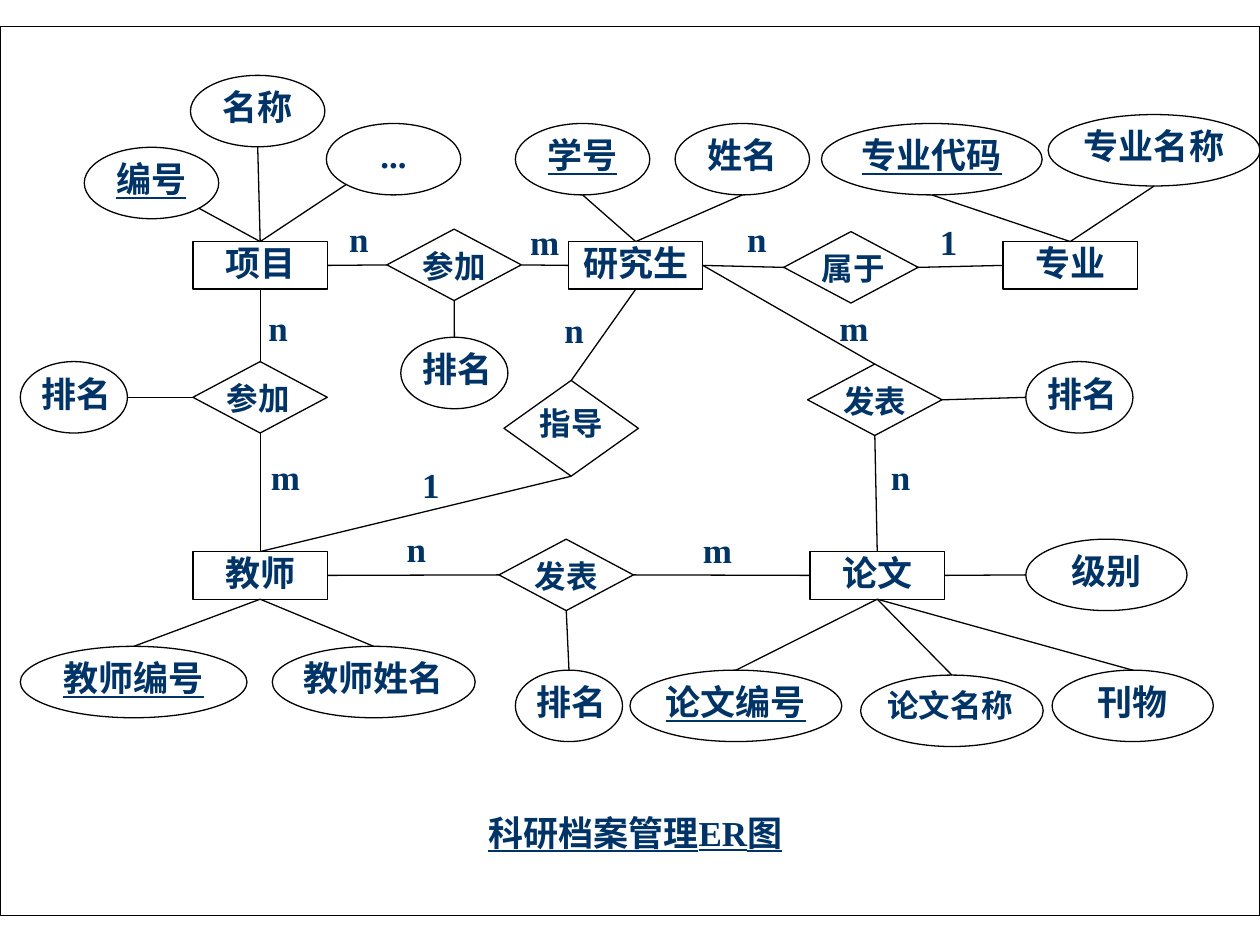
from lxml.etree import SubElement
from pptx import Presentation
from pptx.dml.color import RGBColor
from pptx.enum.shapes import MSO_CONNECTOR, MSO_SHAPE as Shape
from pptx.enum.text import MSO_ANCHOR, PP_ALIGN as Align
from pptx.oxml.ns import qn
from pptx.util import Cm, Pt

WHITE = RGBColor(0xFF, 0xFF, 0xFF)
BLACK = RGBColor(0, 0, 0)
NAVY = RGBColor(0x00, 0x33, 0x66)

# Points on an outline, as fractions of width and height
TOP, BOTTOM, LEFT, RIGHT = (0.5, 0), (0.5, 1), (0, 0.5), (1, 0.5)
LOWER_LEFT, LOWER_RIGHT = (0.15, 0.85), (0.85, 0.85)

# All lengths are in cm, measured from the corner of the diagram
NODE_W, ENTITY_H, OVAL_H = 2.71, 0.96, 1.44
LABEL_W = 0.53

# name: (x, y)
ENTITIES = {
    "项目": (3.89, 4.34),
    "研究生": (11.46, 4.34),
    "专业": (20.22, 4.34),
    "教师": (3.89, 10.59),
    "论文": (16.33, 10.59),
}

# entity: [(text, x, y, width, side of the entity, side of the oval)]
ATTRIBUTES = {
    "项目": [
        ("编号", 1.7, 2.44, NODE_W, TOP, LOWER_RIGHT),
        ("名称", 3.84, 0.99, NODE_W, TOP, BOTTOM),
        ("...", 6.58, 1.96, NODE_W, TOP, LOWER_LEFT),
    ],
    "研究生": [
        ("学号", 10.39, 1.96, NODE_W, TOP, BOTTOM),
        ("姓名", 13.61, 1.96, NODE_W, TOP, BOTTOM),
    ],
    "专业": [
        ("专业代码", 16.56, 1.96, 4.45, TOP, BOTTOM),
        ("专业名称", 21.13, 1.78, 4.27, TOP, BOTTOM),
    ],
    "教师": [
        ("教师编号", 0.41, 12.5, 4.57, BOTTOM, TOP),
        ("教师姓名", 5.49, 12.5, 4.09, BOTTOM, TOP),
    ],
    "论文": [
        ("论文编号", 12.7, 12.98, 4.27, BOTTOM, TOP),
        ("论文名称", 17.35, 13.08, 3.68, BOTTOM, TOP),
        ("级别", 20.68, 10.34, 3.25, RIGHT, LEFT),
        ("刊物", 21.21, 12.98, 3.25, BOTTOM, TOP),
    ],
}
KEYS = {"编号", "学号", "专业代码", "教师编号", "论文编号"}

# (text, x, y, height, alignment, [(entity, its side, own side)],
#  ranking oval: (x, y, own side, side of the oval) or None)
RELATIONS = [
    ("参加", 3.89, 6.76, 1.44, Align.JUSTIFY,
     [("项目", BOTTOM, TOP), ("教师", TOP, BOTTOM)], (0.41, 6.76, LEFT, RIGHT)),
    ("指导", 10.16, 7.14, 1.93, Align.CENTER,
     [("研究生", BOTTOM, TOP), ("教师", TOP, BOTTOM)], None),
    ("发表", 16.28, 6.81, 1.44, Align.CENTER,
     [("研究生", RIGHT, TOP), ("论文", TOP, BOTTOM)], (20.68, 6.76, RIGHT, LEFT)),
    ("参加", 7.8, 4.09, 1.44, Align.CENTER,
     [("项目", RIGHT, LEFT), ("研究生", LEFT, RIGHT)], (8.08, 6.27, BOTTOM, TOP)),
    ("属于", 15.8, 4.14, 1.44, Align.RIGHT,
     [("研究生", RIGHT, LEFT), ("专业", LEFT, RIGHT)], None),
    ("发表", 10.06, 10.34, 1.44, Align.CENTER,
     [("教师", RIGHT, LEFT), ("论文", LEFT, RIGHT)], (10.39, 12.98, BOTTOM, TOP)),
]

# text: [(x, y)]
CARDINALITIES = {
    "n": [(11.38, 5.69), (8.2, 10.11), (15.06, 3.86), (7.04, 3.86), (5.41, 5.64), (17.96, 8.66)],
    "m": [(10.69, 3.91), (16.92, 5.64), (14.17, 10.13), (5.46, 8.66)],
    "1": [(18.95, 3.91), (8.51, 8.81)],
}


def add_node(slide, box, kind, x, y, w, h, text="", size=20, align=Align.CENTER,
             line=BLACK, underline=None):
    """Add a white outlined shape at (x, y) inside the box."""
    left, top = box[:2]
    sp = slide.shapes.add_shape(kind, Cm(left + x), Cm(top + y), Cm(w), Cm(h))
    sp.shadow.inherit = False
    sp.fill.solid()
    sp.fill.fore_color.rgb = WHITE
    sp.line.color.rgb = line
    sp.line.width = Pt(0.75)
    tf = sp.text_frame
    tf.word_wrap = True
    tf.vertical_anchor = MSO_ANCHOR.TOP
    tf.margin_left = tf.margin_right = tf.margin_top = tf.margin_bottom = 0
    if text:
        p = tf.paragraphs[0]
        p.text = text
        p.alignment = align
        p.font.name = "Times New Roman"
        p.font.size = Pt(size)
        p.font.bold = True
        p.font.underline = underline
        p.font.color.rgb = NAVY
    return sp


def add_link(slide, a, a_side, b, b_side):
    ends = [round(v) for sp, (fx, fy) in ((a, a_side), (b, b_side))
            for v in (sp.left + fx * sp.width, sp.top + fy * sp.height)]
    cxn = slide.shapes.add_connector(MSO_CONNECTOR.STRAIGHT, *ends)
    cxn.line.color.rgb = BLACK
    cxn.line.width = Pt(0.75)
    SubElement(cxn._element.spPr, qn("a:effectLst"))


def add_cardinalities(slide, box):
    for text, places in CARDINALITIES.items():
        for x, y in places:
            add_node(slide, box, Shape.RECTANGLE, x, y, LABEL_W, ENTITY_H, text,
                     align=Align.JUSTIFY, line=WHITE)


def add_entities(slide, box):
    """Add the entities with their attributes; return the entities by name."""
    entities = {}
    for name, (x, y) in ENTITIES.items():
        entity = add_node(slide, box, Shape.RECTANGLE, x, y, NODE_W, ENTITY_H, name)
        entities[name] = entity
        for text, ox, oy, w, side, oval_side in ATTRIBUTES[name]:
            tight = text == "论文名称"
            oval = add_node(slide, box, Shape.OVAL, ox, oy, w, OVAL_H, text,
                            size=18 if tight else 20,
                            align=Align.JUSTIFY if tight else Align.CENTER,
                            underline=text in KEYS or None)
            add_link(slide, entity, side, oval, oval_side)
    return entities


def add_relations(slide, box, entities):
    for text, x, y, h, align, links, ranking in RELATIONS:
        diamond = add_node(slide, box, Shape.FLOWCHART_DECISION, x, y, NODE_W, h,
                           text, size=18, align=align)
        for name, side, own_side in links:
            add_link(slide, entities[name], side, diamond, own_side)
        if ranking:
            ox, oy, own_side, oval_side = ranking
            oval = add_node(slide, box, Shape.OVAL, ox, oy, 2.16, OVAL_H, "排名",
                            align=Align.RIGHT)
            add_link(slide, diamond, own_side, oval, oval_side)


def add_er_diagram(slide, box):
    add_node(slide, box, Shape.RECTANGLE, 0, 0, *box[2:])
    add_cardinalities(slide, box)
    add_node(slide, box, Shape.RECTANGLE, 8.74, 15.82, 8.13, ENTITY_H,
             "科研档案管理ER图", line=WHITE, underline=True)
    entities = add_entities(slide, box)
    add_relations(slide, box, entities)


def main():
    prs = Presentation()
    prs.slide_width, prs.slide_height = Cm(25.4), Cm(19.05)
    slide = prs.slides.add_slide(prs.slide_layouts[6])
    add_er_diagram(slide, (0, 0.53, 25.4, 17.93))
    prs.save("out.pptx")


if __name__ == "__main__":
    main()
